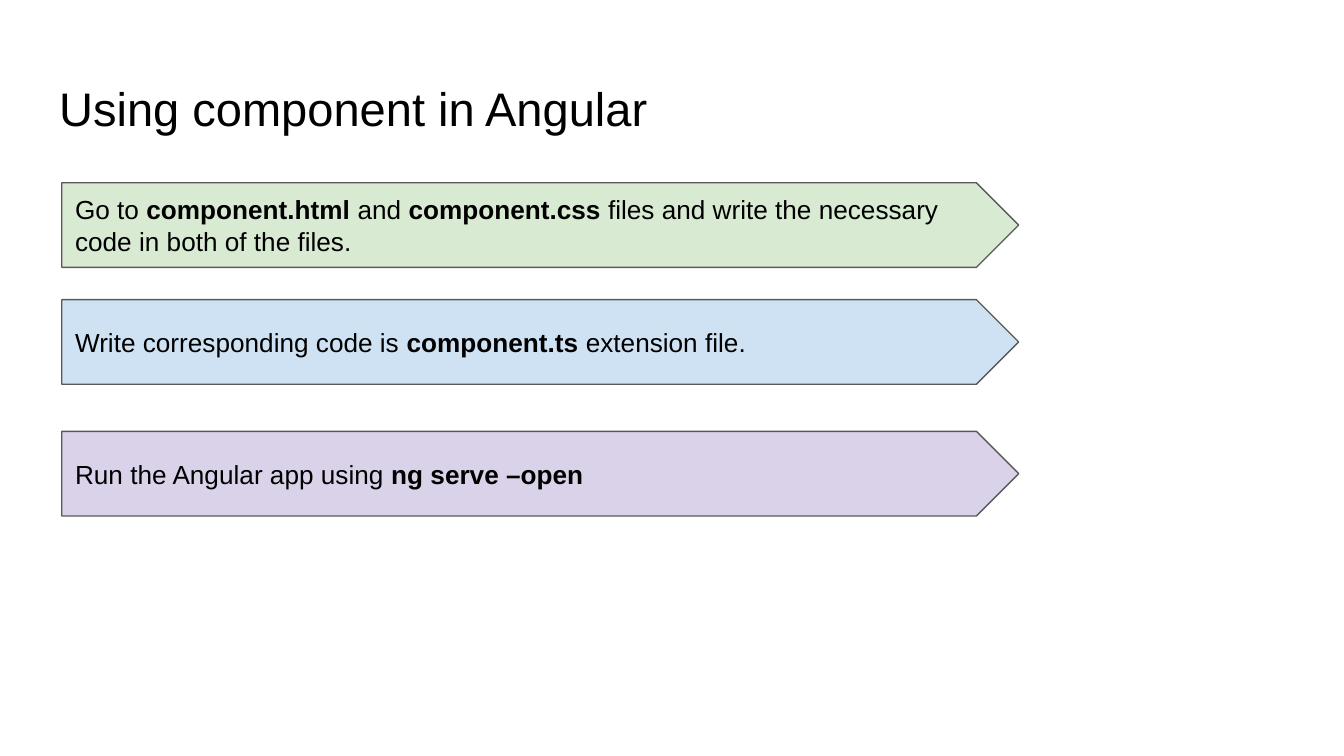
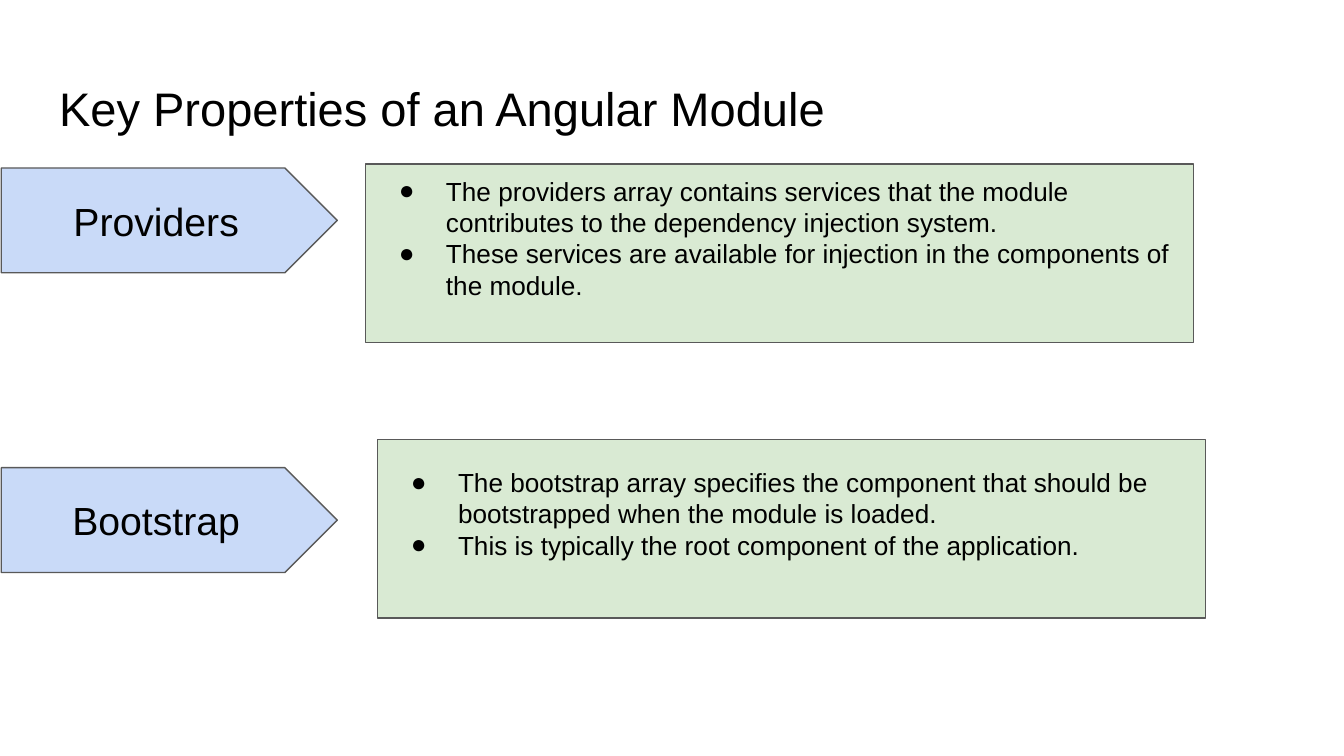
from lxml import etree
from pptx import Presentation
from pptx.dml.color import RGBColor
from pptx.enum.shapes import MSO_SHAPE
from pptx.enum.text import MSO_ANCHOR, MSO_AUTO_SIZE, PP_ALIGN
from pptx.oxml.ns import qn
from pptx.util import Inches, Pt

ARROW, RECTANGLE = MSO_SHAPE.PENTAGON, MSO_SHAPE.RECTANGLE
TOP, MIDDLE = MSO_ANCHOR.TOP, MSO_ANCHOR.MIDDLE
LEFT, CENTER = PP_ALIGN.LEFT, PP_ALIGN.CENTER
NO_AUTOFIT = MSO_AUTO_SIZE.NONE

FONT = "Arial"
COLORS = {
    "text": "000000",
    "outline": "595959",
    "green": "D9EAD3",
    "blue": "CFE2F3",
    "purple": "D9D2E9",
    "periwinkle": "C9DAF8",
}
PAGE_WIDTH = 10
PAGE_HEIGHT = PAGE_WIDTH * 9 / 16
TITLE_ONLY = 5
INSET = 0.1
BULLET_INDENT, BULLET_HANG = 0.5, 0.35

# Bold parts stand between double asterisks
STEPS = [
    (1.36, "green", "Go to **component.html **and **component.css** files and write "
                    "the necessary code in both of the files."),
    (2.23, "blue", "Write corresponding code is **component.ts **extension file."),
    (3.21, "purple", "Run the Angular app using **ng serve –open**"),
]

# Label, label top, details left, details top, bullet points
PROPERTIES = [
    ("Providers", 1.25, 2.72, 1.22, [
        "The providers array contains services that the module contributes "
        "to the dependency injection system.",
        "These services are available for injection in the components of the module.",
    ]),
    ("Bootstrap", 3.48, 2.81, 3.27, [
        "The bootstrap array specifies the component that should be "
        "bootstrapped when the module is loaded.",
        "This is typically the root component of the application.",
    ]),
]


def color(name):
    return RGBColor.from_string(COLORS[name])


def add_bullet(para):
    properties = para._p.get_or_add_pPr()
    properties.set("marL", str(Inches(BULLET_INDENT)))
    properties.set("indent", str(-Inches(BULLET_HANG)))
    bullet_color = etree.SubElement(properties, qn("a:buClr"))
    etree.SubElement(bullet_color, qn("a:srgbClr"), val=COLORS["text"])
    etree.SubElement(properties, qn("a:buFont"), typeface=FONT)
    etree.SubElement(properties, qn("a:buChar"), char="●")


def write_text(shape, lines, size=14, align=LEFT, anchor=MIDDLE,
               bullets=False, bottom=INSET):
    frame = shape.text_frame
    frame.word_wrap = True
    frame.auto_size = NO_AUTOFIT
    frame.vertical_anchor = anchor
    frame.margin_left = frame.margin_right = frame.margin_top = Inches(INSET)
    frame.margin_bottom = Inches(bottom)
    for index, line in enumerate(lines):
        para = frame.paragraphs[0] if index == 0 else frame.add_paragraph()
        if bullets:
            add_bullet(para)
        para.alignment = align
        para.space_before = Pt(0)
        for position, part in enumerate(line.split("**")):
            if not part:
                continue
            span = para.add_run()
            span.text = part
            span.font.name = FONT
            span.font.size = Pt(size)
            span.font.bold = position % 2 == 1
            span.font.color.rgb = color("text")


def add_box(page, kind, left, top, width, height, fill):
    box = page.shapes.add_shape(kind, Inches(left), Inches(top),
                                Inches(width), Inches(height))
    box.shadow.inherit = False
    box.fill.solid()
    box.fill.fore_color.rgb = color(fill)
    box.line.color.rgb = color("outline")
    box.line.width = Pt(0.75)
    return box


def add_page(deck, title):
    page = deck.slides.add_slide(deck.slide_layouts[TITLE_ONLY])
    heading = page.shapes.title
    heading.left, heading.top = Inches(0.34), Inches(0.49)
    heading.width, heading.height = Inches(9.32), Inches(0.63)
    write_text(heading, [title], size=25.2, anchor=TOP)
    return page


def add_steps_page(deck):
    page = add_page(deck, "Using component in Angular")
    for top, fill, text in STEPS:
        arrow = add_box(page, ARROW, 0.46, top, 7.12, 0.63, fill)
        write_text(arrow, [text])


def add_properties_page(deck):
    page = add_page(deck, "Key Properties of an Angular Module")
    for label, label_top, left, top, points in PROPERTIES:
        arrow = add_box(page, ARROW, 0.01, label_top, 2.5, 0.78, "periwinkle")
        write_text(arrow, [label], size=21, align=CENTER)
        details = add_box(page, RECTANGLE, left, top, 6.16, 1.33, "green")
        # The deeper bottom margin lifts the list by half a line
        write_text(details, points, bullets=True, bottom=0.33)


def main():
    deck = Presentation()
    deck.slide_width, deck.slide_height = Inches(PAGE_WIDTH), Inches(PAGE_HEIGHT)
    add_steps_page(deck)
    add_properties_page(deck)
    deck.save("out.pptx")


if __name__ == "__main__":
    main()
